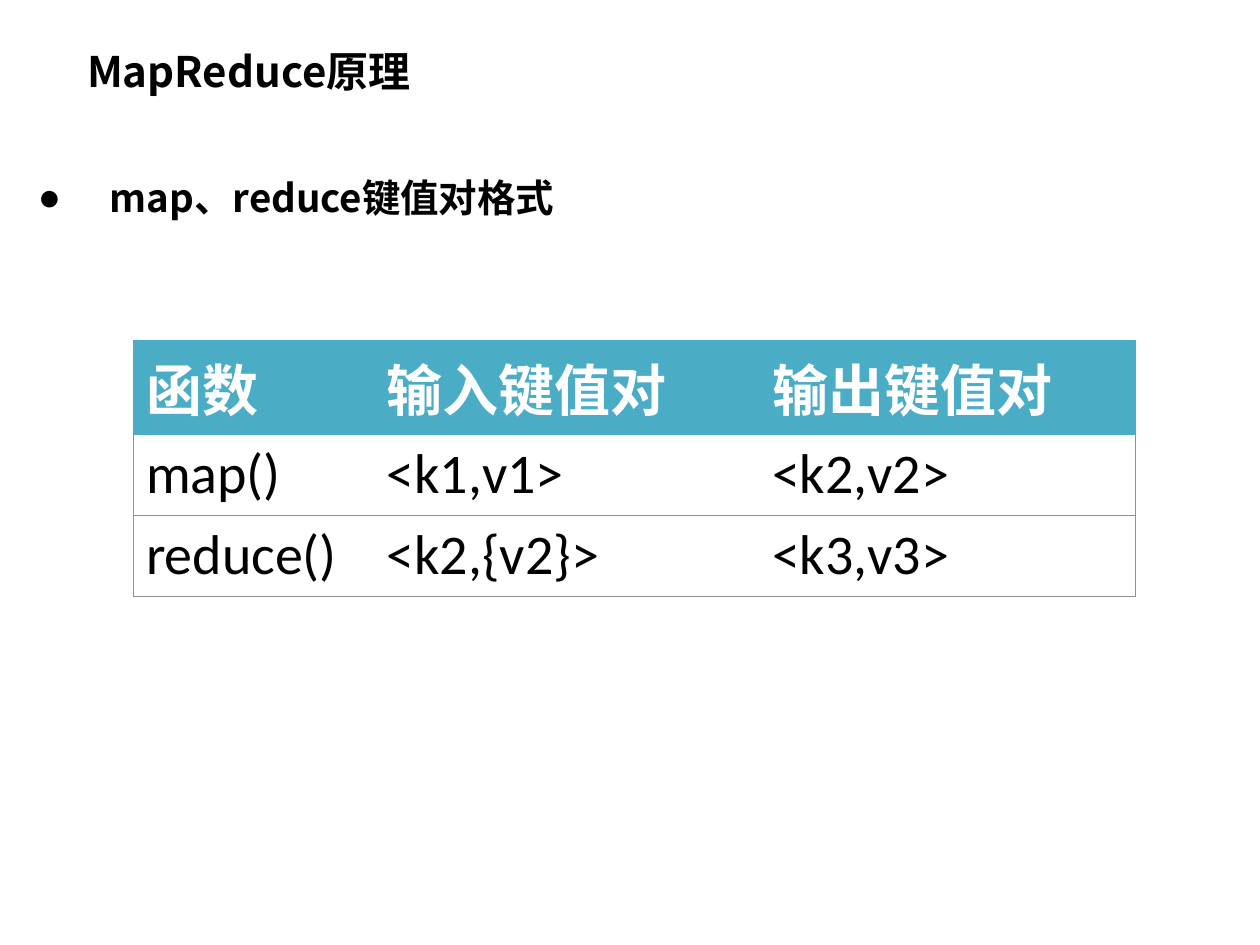
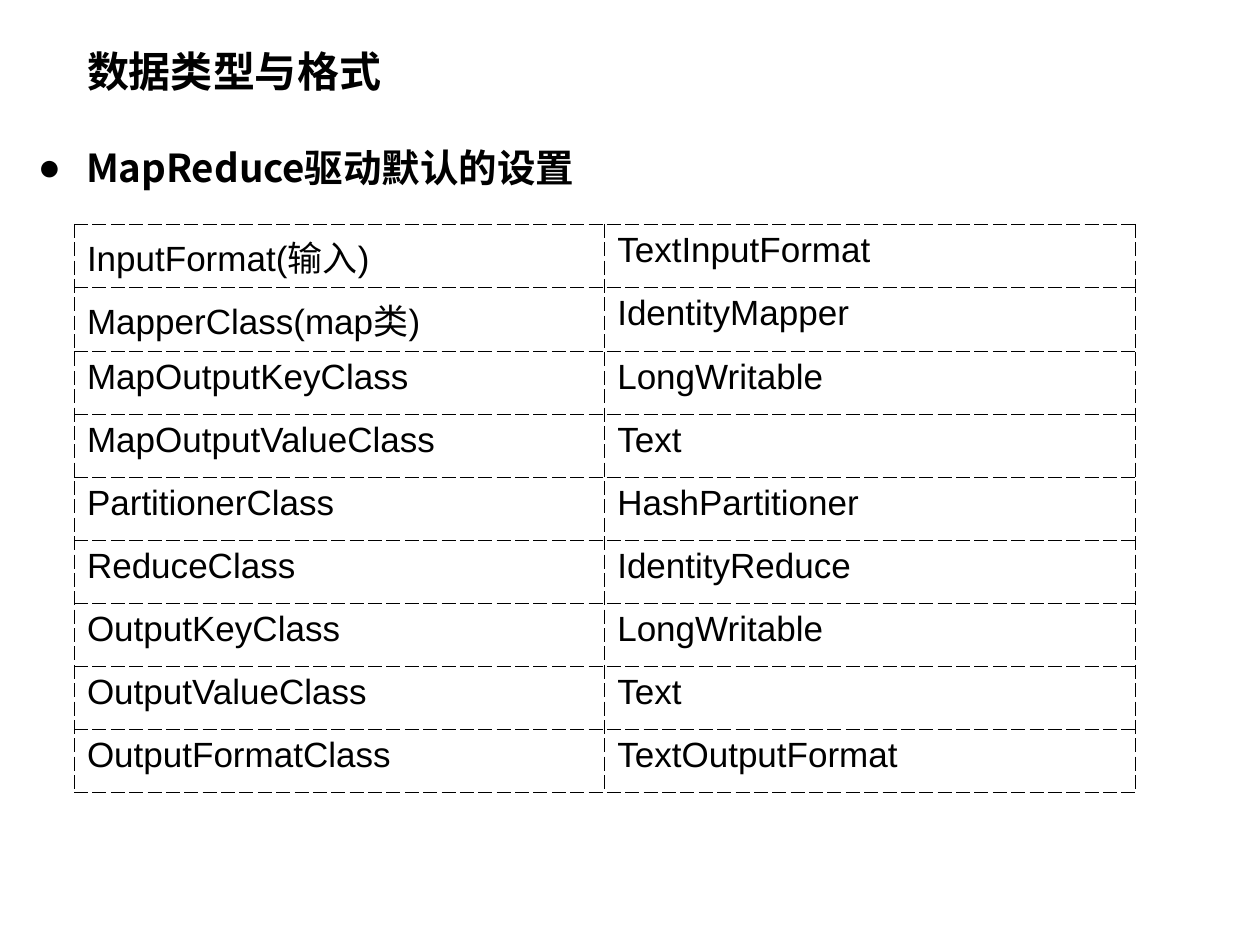
from lxml import etree
from pptx import Presentation
from pptx.dml.color import RGBColor
from pptx.enum.text import MSO_ANCHOR, MSO_AUTO_SIZE, PP_ALIGN
from pptx.oxml.ns import qn
from pptx.util import Cm, Pt

LEFT = PP_ALIGN.LEFT
TOP, MIDDLE = MSO_ANCHOR.TOP, MSO_ANCHOR.MIDDLE
NO_AUTOFIT = MSO_AUTO_SIZE.NONE

COLORS = {
    "text": "000000",
    "header": "4BACC6",
    "header_text": "FFFFFF",
    "rule": "909090",
}
CJK_FONT = "Noto Sans CJK SC"
TITLE_AND_CONTENT = 1
BORDER_WIDTH = Pt(0.45)
EDGES = ("a:lnL", "a:lnR", "a:lnT", "a:lnB")

KEY_VALUE_ROWS = [
    ("函数", "输入键值对", "输出键值对"),
    ("map()", "<k1,v1>", "<k2,v2>"),
    ("reduce()", "<k2,{v2}>", "<k3,v3>"),
]
DEFAULT_ROWS = [
    ("InputFormat(输入)", "TextInputFormat"),
    ("MapperClass(map类)", "IdentityMapper"),
    ("MapOutputKeyClass", "LongWritable"),
    ("MapOutputValueClass", "Text"),
    ("PartitionerClass", "HashPartitioner"),
    ("ReduceClass", "IdentityReduce"),
    ("OutputKeyClass", "LongWritable"),
    ("OutputValueClass", "Text"),
    ("OutputFormatClass", "TextOutputFormat"),
]


# Text
def write(tf, text, size, font=CJK_FONT, color="text", bold=False, spacing=1.0):
    p = tf.paragraphs[0]
    p.alignment = LEFT
    p.line_spacing = spacing
    p.space_before = Pt(0)
    r = p.add_run()
    r.text = text
    r.font.size = Pt(size)
    r.font.bold = bold
    r.font.name = font
    r.font.color.rgb = RGBColor.from_string(COLORS[color])
    etree.SubElement(r.font._element, qn("a:ea"), typeface=CJK_FONT)
    return p


def place(s, left, top, width, height, anchor):
    s.left, s.top, s.width, s.height = Cm(left), Cm(top), Cm(width), Cm(height)
    tf = s.text_frame
    tf.word_wrap = True
    tf.auto_size = NO_AUTOFIT
    tf.vertical_anchor = anchor
    return tf


def add_slide(prs, title, title_font=CJK_FONT):
    slide = prs.slides.add_slide(prs.slide_layouts[TITLE_AND_CONTENT])
    tf = place(slide.shapes.title, 1.5, 0.71, 16.71, 1.42, MIDDLE)
    write(tf, title, 24, font=title_font, bold=True)
    return slide


def add_bullet(slide, text, top, height, indent):
    tf = place(slide.placeholders[1], 0.51, top, 24.89, height, TOP)
    p = write(tf, text, 22, bold=True, spacing=1.5)
    pPr = p._p.get_or_add_pPr()
    pPr.set("marL", str(Cm(indent)))
    pPr.set("indent", str(-Cm(indent)))
    etree.SubElement(pPr, qn("a:buChar"), char="●")


# Tables
def set_border(cell, edge, color=None, dash="solid"):
    ln = etree.SubElement(cell._tc.get_or_add_tcPr(), qn(edge), w=str(BORDER_WIDTH))
    if color is None:
        etree.SubElement(ln, qn("a:noFill"))
        return
    fill = etree.SubElement(ln, qn("a:solidFill"))
    etree.SubElement(fill, qn("a:srgbClr"), val=COLORS[color])
    etree.SubElement(ln, qn("a:prstDash"), val=dash)


def fill_cell(cell, color=None):
    if color is None:
        cell.fill.background()
    else:
        cell.fill.solid()
        cell.fill.fore_color.rgb = RGBColor.from_string(COLORS[color])


def add_table(slide, rows, left, top, col_widths, row_height):
    n_rows, n_cols = len(rows), len(col_widths)
    frame = slide.shapes.add_table(n_rows, n_cols, Cm(left), Cm(top),
                                   Cm(sum(col_widths)), Cm(row_height * n_rows))
    table = frame.table
    table.first_row = table.horz_banding = False
    for col, width in zip(table.columns, col_widths):
        col.width = Cm(width)
    for row in table.rows:
        row.height = Cm(row_height)
    return table


def add_key_value_table(slide):
    table = add_table(slide, KEY_VALUE_ROWS, 2.69, 6.86, (4.85, 7.77, 7.57), 1.63)
    last = len(table.columns) - 1
    for i, row in enumerate(KEY_VALUE_ROWS):
        header = i == 0
        line = "header" if header else "rule"
        for j, text in enumerate(row):
            cell = table.cell(i, j)
            write(cell.text_frame, text, 32, font="Calibri", bold=header,
                  color="header_text" if header else "text")
            # Rules run under the rows and around the outside only
            set_border(cell, "a:lnL", line if j == 0 else None)
            set_border(cell, "a:lnR", line if j == last else None)
            set_border(cell, "a:lnT", "header" if i <= 1 else "rule")
            set_border(cell, "a:lnB", line)
            fill_cell(cell, "header" if header else None)


def add_defaults_table(slide):
    table = add_table(slide, DEFAULT_ROWS, 1.5, 4.52, (10.69, 10.69), 1.27)
    for i, row in enumerate(DEFAULT_ROWS):
        for j, text in enumerate(row):
            cell = table.cell(i, j)
            write(cell.text_frame, text, 20, font="Arial")
            for edge in EDGES:
                set_border(cell, edge, "text", dash="dash")
            fill_cell(cell)


def main():
    prs = Presentation()
    prs.slide_width, prs.slide_height = Cm(25.4), Cm(19.05)

    # Key/value formats
    slide = add_slide(prs, "MapReduce原理")
    add_bullet(slide, "map、reduce键值对格式", top=2.92, height=14.81, indent=1.45)
    add_key_value_table(slide)

    # Driver defaults
    slide = add_slide(prs, "数据类型与格式", title_font="Calibri")
    add_bullet(slide, "MapReduce驱动默认的设置", top=2.31, height=15.39, indent=0.97)
    add_defaults_table(slide)

    prs.save("out.pptx")


if __name__ == "__main__":
    main()
